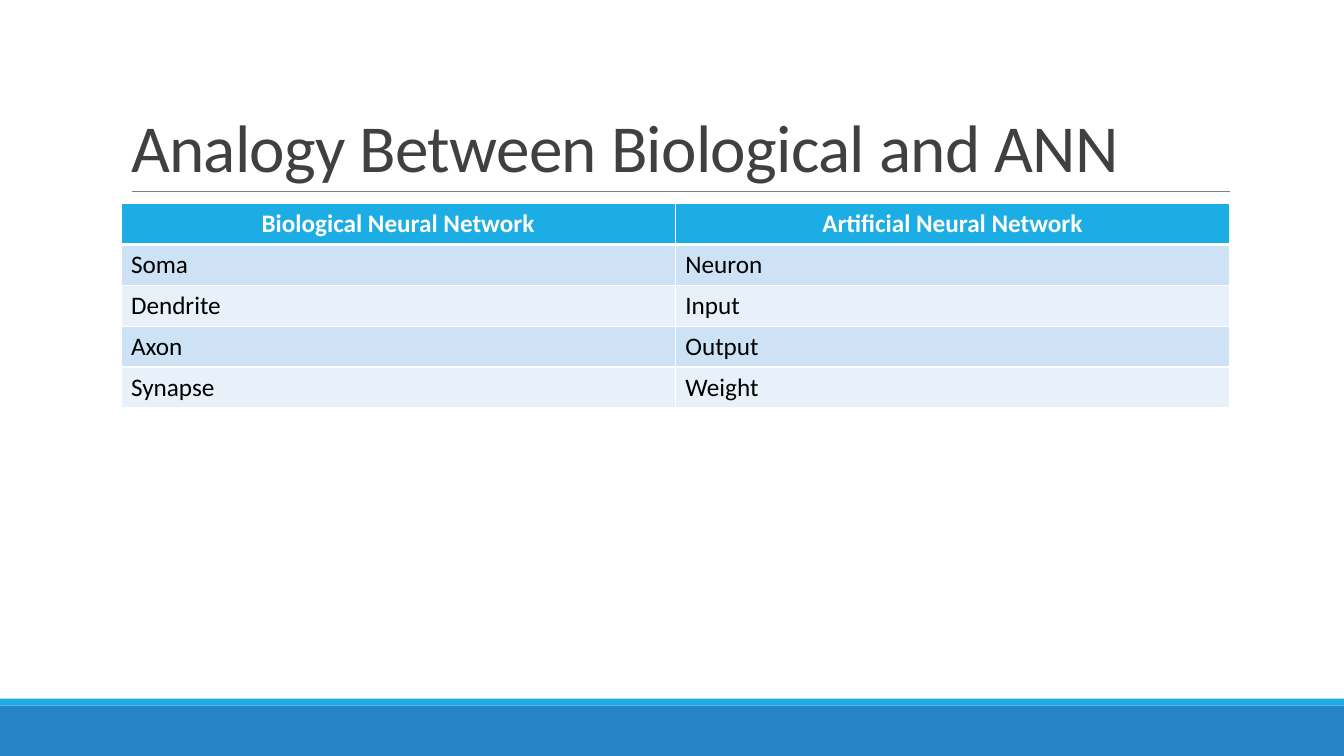
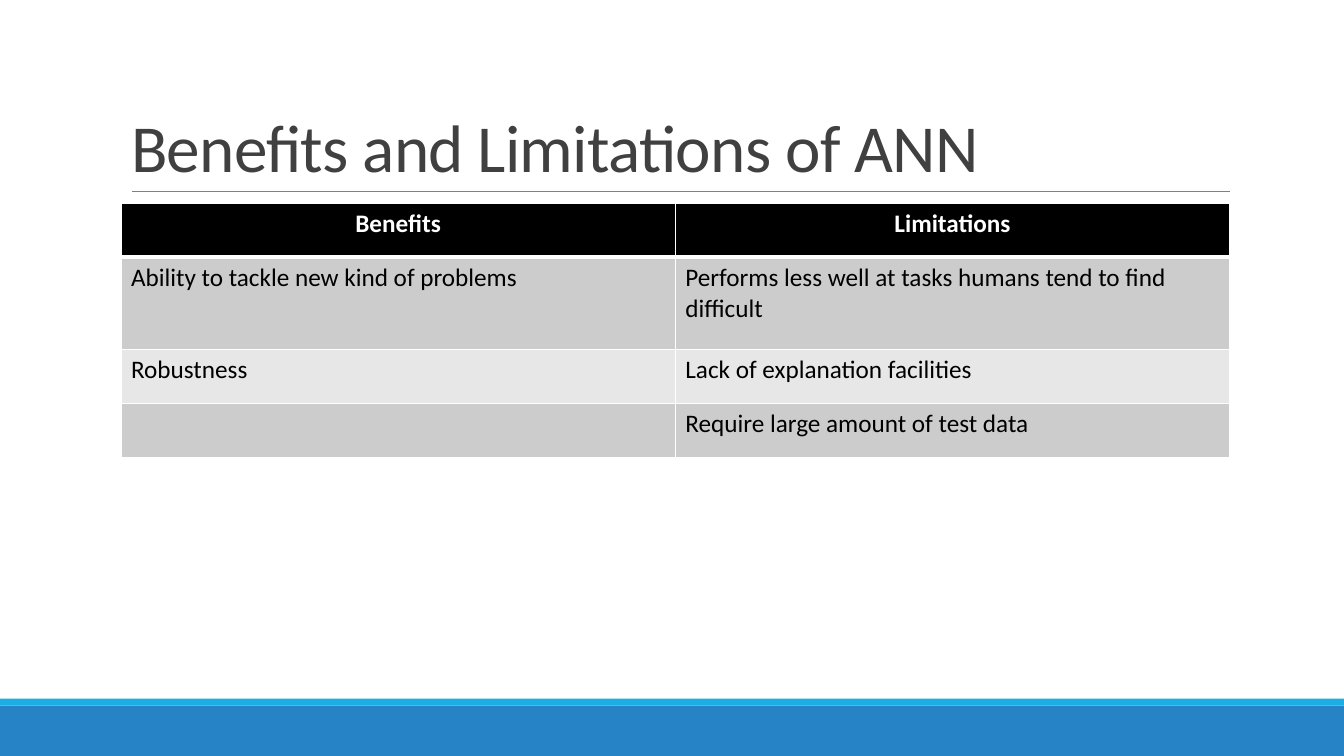
from dataclasses import dataclass

from lxml.etree import SubElement
from pptx import Presentation
from pptx.dml.color import RGBColor
from pptx.enum.shapes import MSO_CONNECTOR, MSO_SHAPE
from pptx.enum.text import MSO_ANCHOR, MSO_AUTO_SIZE, PP_ALIGN
from pptx.oxml.ns import qn
from pptx.util import Pt

rgb = RGBColor.from_string


@dataclass(frozen=True)
class Theme:
    font: str = "Calibri"
    title_size: float = 48
    table_size: float = 18
    title_color: str = "404040"
    text_color: str = "000000"
    white: str = "FFFFFF"
    rule_color: str = "808080"
    footer_color: str = "2683C6"
    accent: str = "1CADE4"
    blue_bands: tuple = ("CDE3F5", "E8F1FA")
    gray_header: str = "000000"
    gray_bands: tuple = ("CCCCCC", "E7E7E7")


def write(frame, text, *, font, size, color, bold=False,
          align=PP_ALIGN.LEFT, line_spacing=None, tracking=None):
    paragraph = frame.paragraphs[0]
    paragraph.alignment = align
    paragraph.line_spacing = line_spacing
    run = paragraph.add_run()
    run.text = text
    run.font.name = font
    run.font.size = Pt(size)
    run.font.bold = bold
    run.font.color.rgb = rgb(color)
    if tracking is not None:
        run.font._element.set("spc", str(round(tracking * 100)))


class Deck:
    WIDTH, HEIGHT = 960, 540
    LEFT, CONTENT_WIDTH = 86.4, 792
    RULE_LEFT, RULE_RIGHT, RULE_TOP = 94.3, 878.8, 136.8
    FOOTER_HEIGHT, STRIPE_HEIGHT = 36, 5
    TITLE_ONLY = 5

    def __init__(self, theme):
        self.theme = theme
        self.presentation = Presentation()
        self.presentation.slide_width = Pt(self.WIDTH)
        self.presentation.slide_height = Pt(self.HEIGHT)
        self.slide = None

    def add_slide(self, title):
        layout = self.presentation.slide_layouts[self.TITLE_ONLY]
        self.slide = self.presentation.slides.add_slide(layout)
        footer_top = self.HEIGHT - self.FOOTER_HEIGHT
        self.band(footer_top, self.FOOTER_HEIGHT, self.theme.footer_color)
        self.band(footer_top - self.STRIPE_HEIGHT, self.STRIPE_HEIGHT, self.theme.accent)
        self.rule()
        self.title(title)

    def band(self, top, height, color):
        band = self.slide.shapes.add_shape(
            MSO_SHAPE.RECTANGLE, 0, Pt(top), Pt(self.WIDTH), Pt(height))
        band.shadow.inherit = False
        band.fill.solid()
        band.fill.fore_color.rgb = rgb(color)
        band.line.fill.background()

    def rule(self):
        rule = self.slide.shapes.add_connector(
            MSO_CONNECTOR.STRAIGHT, Pt(self.RULE_LEFT), Pt(self.RULE_TOP),
            Pt(self.RULE_RIGHT), Pt(self.RULE_TOP))
        rule.line.color.rgb = rgb(self.theme.rule_color)
        rule.line.width = Pt(0.5)
        SubElement(rule._element.spPr, qn("a:effectLst"))

    def title(self, text):
        title = self.slide.shapes.title
        title.left, title.top = Pt(self.LEFT), Pt(22.6)
        title.width, title.height = Pt(self.CONTENT_WIDTH), Pt(114.2)
        frame = title.text_frame
        frame.auto_size = MSO_AUTO_SIZE.NONE
        frame.vertical_anchor = MSO_ANCHOR.BOTTOM
        write(frame, text, font=self.theme.font, size=self.theme.title_size,
              color=self.theme.title_color, line_spacing=0.85, tracking=-0.5)

    def table(self, rows, heights, header_color, band_colors):
        columns = len(rows[0])
        table = self.slide.shapes.add_table(
            len(rows), columns, Pt(self.LEFT), Pt(145.4),
            Pt(self.CONTENT_WIDTH), Pt(sum(heights))).table
        for column in table.columns:
            column.width = Pt(self.CONTENT_WIDTH / columns)
        for index, (texts, height) in enumerate(zip(rows, heights)):
            table.rows[index].height = Pt(height)
            header = index == 0
            fill = header_color if header else band_colors[(index - 1) % 2]
            for cell, text in zip(table.rows[index].cells, texts):
                self.borders(cell, top=3 if index == 1 else 1, bottom=3 if header else 1)
                cell.fill.solid()
                cell.fill.fore_color.rgb = rgb(fill)
                if text:
                    write(cell.text_frame, text, font=self.theme.font,
                          size=self.theme.table_size, bold=header,
                          color=self.theme.white if header else self.theme.text_color,
                          align=PP_ALIGN.CENTER if header else PP_ALIGN.LEFT)

    def borders(self, cell, top, bottom):
        properties = cell._tc.get_or_add_tcPr()
        for side, width in (("L", 1), ("R", 1), ("T", top), ("B", bottom)):
            border = SubElement(properties, qn(f"a:ln{side}"), w=str(Pt(width)))
            fill = SubElement(border, qn("a:solidFill"))
            SubElement(fill, qn("a:srgbClr"), val=self.theme.white)


def main():
    theme = Theme()
    deck = Deck(theme)

    deck.add_slide("Analogy Between Biological and ANN")
    analogy = [
        ("Biological Neural Network", "Artificial Neural Network"),
        ("Soma", "Neuron"),
        ("Dendrite", "Input"),
        ("Axon", "Output"),
        ("Synapse", "Weight"),
    ]
    deck.table(analogy, [29.2] * len(analogy), theme.accent, theme.blue_bands)

    deck.add_slide("Benefits and Limitations of ANN")
    tradeoffs = [
        ("Benefits", "Limitations"),
        ("Ability to tackle new kind of problems",
         "Performs less well at tasks humans tend to find difficult"),
        ("Robustness", "Lack of explanation facilities"),
        ("", "Require large amount of test data"),
    ]
    deck.table(tradeoffs, [38.4, 66, 38.4, 38.4], theme.gray_header, theme.gray_bands)

    deck.presentation.save("out.pptx")


if __name__ == "__main__":
    main()
